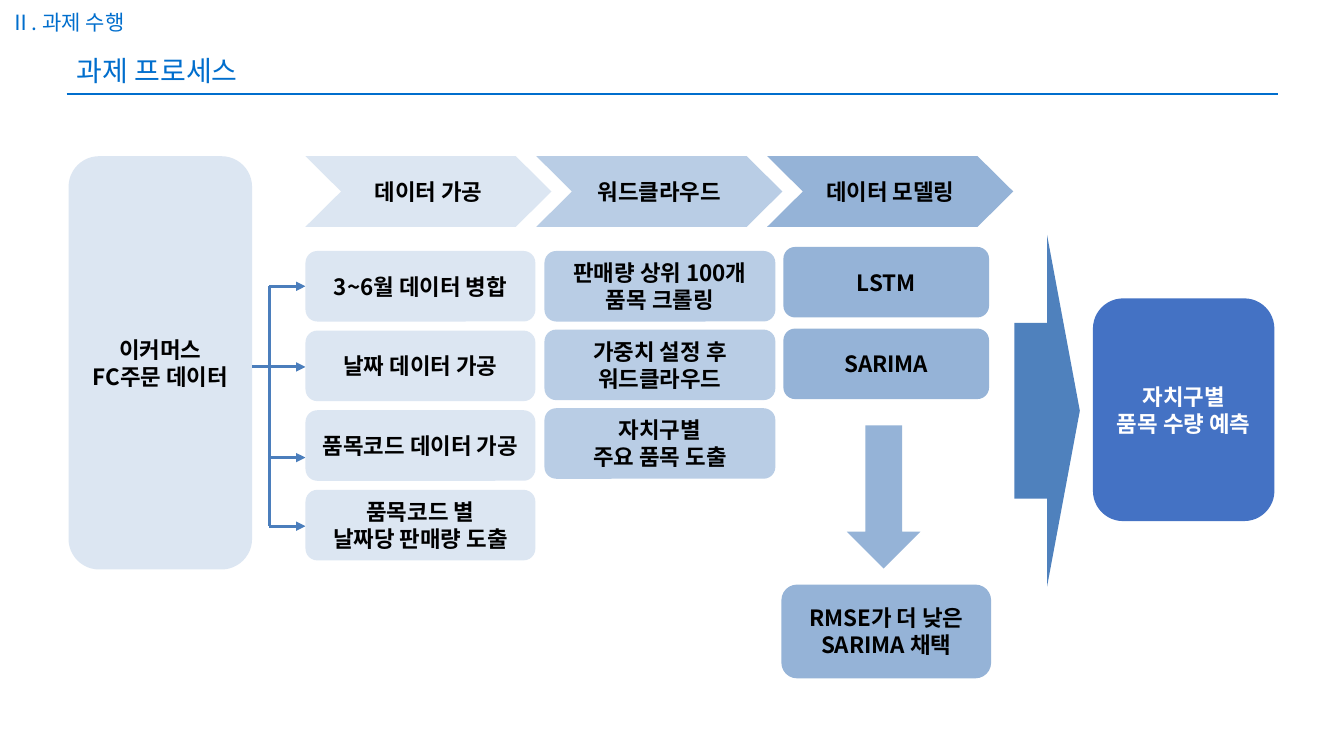
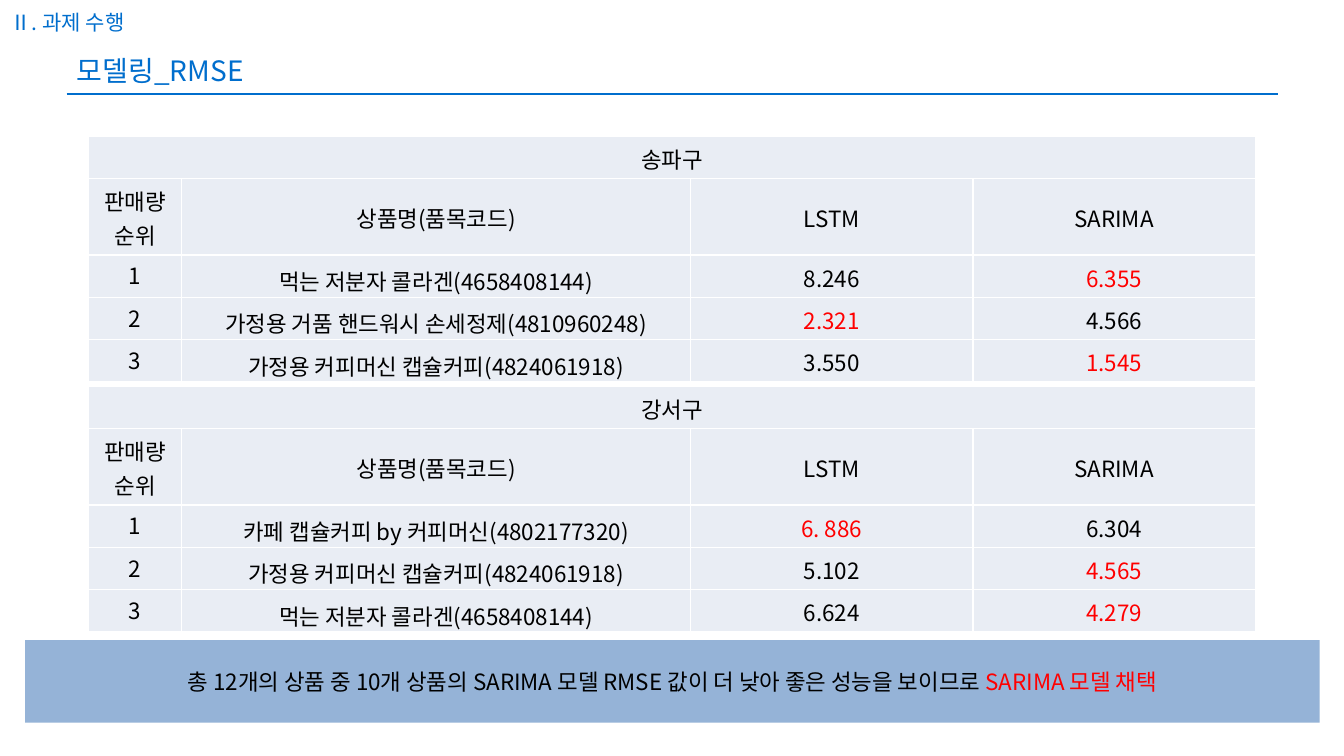
from dataclasses import dataclass

from lxml.etree import SubElement
from pptx import Presentation
from pptx.dml.color import RGBColor as Color
from pptx.enum.shapes import MSO_CONNECTOR as Link, MSO_SHAPE as Shape
from pptx.enum.text import MSO_ANCHOR as Anchor, PP_ALIGN as Align
from pptx.oxml.ns import qn
from pptx.util import Inches, Pt


@dataclass(frozen=True)
class Theme:
    font: str = "Noto Sans CJK KR"
    head: str = "006ECD"
    ink: str = "000000"
    white: str = "FFFFFF"
    red: str = "FF0000"
    pale: str = "DCE6F2"
    soft: str = "B9CDE5"
    mid: str = "95B3D7"
    steel: str = "4F81BD"
    wire: str = "4B7EBC"
    deep: str = "4472C4"
    cell: str = "E9EDF4"
    title: int = 20
    label: int = 15
    body: int = 16


T = Theme()
SECTION = "Ⅱ. 과제 수행"
STAGES = [("데이터 가공", T.pale), ("워드클라우드", T.soft), ("데이터 모델링", T.mid)]
# Top, pitch, width, fill and texts of each column of cards
STEPS = [
    (0.94, 0.79, 2.28, T.pale, ["3~6월 데이터 병합", "날짜 데이터 가공",
                                "품목코드 데이터 가공", "품목코드 별\n날짜당 판매량 도출"]),
    (0.94, 0.78, 2.29, T.soft, ["판매량 상위 100개\n품목 크롤링", "가중치 설정 후\n워드클라우드",
                                "자치구별\n주요 품목 도출"]),
    (0.9, 0.81, 2.04, T.mid, ["LSTM", "SARIMA"]),
]
HEADS = ["판매량 순위", "상품명(품목코드)", "LSTM", "SARIMA"]
WIDTHS = [0.92, 5.05, 2.8, 2.8]
HEIGHTS = [0.42, 0.76, 0.42, 0.42, 0.42]
SONGPA = [
    ("먹는 저분자 콜라겐(4658408144)", "8.246", "6.355"),
    ("가정용 거품 핸드워시 손세정제(4810960248)", "2.321", "4.566"),
    ("가정용 커피머신 캡슐커피(4824061918)", "3.550", "1.545"),
]
GANGSEO = [
    ("카페 캡슐커피 by 커피머신(4802177320)", "6. 886", "6.304"),
    ("가정용 커피머신 캡슐커피(4824061918)", "5.102", "4.565"),
    ("먹는 저분자 콜라겐(4658408144)", "6.624", "4.279"),
]


def rgb(code):
    return Color.from_string(code)


def style(para, size, color=T.ink, bold=False, align=Align.CENTER):
    para.alignment = align
    font = para.font
    font.size, font.bold, font.name = Pt(size), bold, T.font
    font.color.rgb = rgb(color)
    props = para._p.pPr.find(qn("a:defRPr"))
    SubElement(props, qn("a:ea")).set("typeface", T.font)


def block(slide, kind, x, y, w, h, fill, text="", color=T.ink, bold=True):
    shape = slide.shapes.add_shape(kind, Inches(x), Inches(y), Inches(w), Inches(h))
    shape.shadow.inherit = False
    shape.fill.solid()
    shape.fill.fore_color.rgb = rgb(fill)
    shape.line.fill.background()
    if text:
        frame = shape.text_frame
        frame.text = text
        frame.vertical_anchor = Anchor.MIDDLE
        for para in frame.paragraphs:
            style(para, T.body, color, bold)
    return shape


def wire(slide, x, y, right, end, color=T.wire, width=2.25, arrow=True):
    line = slide.shapes.add_connector(
        Link.STRAIGHT, Inches(x), Inches(y), Inches(right), Inches(end))
    line.line.color.rgb = rgb(color)
    line.line.width = Pt(width)
    if arrow:
        SubElement(line.line._get_or_add_ln(), qn("a:tailEnd")).set("type", "triangle")
    SubElement(line._element.spPr, qn("a:effectLst"))
    return line


def frame_up(deck):
    """Give the layout its title box and the rule below it."""
    layout = deck.slide_layouts[5]
    title = layout.placeholders[0]
    title.left, title.top = Inches(0.66), Inches(0.47)
    title.width, title.height = Inches(12.02), Inches(0.46)
    return layout


def rule(slide):
    """Draw the title rule and hand it to the layout."""
    line = wire(slide, 0.66, 0.93, 12.68, 0.93, T.head, 1.5, arrow=False)
    slide.slide_layout.shapes._spTree.append(line._element)


def page(deck, layout, text):
    slide = deck.slides.add_slide(layout)
    slide.shapes.title.text = text
    style(slide.shapes.title.text_frame.paragraphs[0], T.title, T.head, align=Align.LEFT)
    label = slide.shapes.add_textbox(Inches(0.01), Inches(0.05), Inches(1.63), Inches(0.46))
    label.text_frame.word_wrap = True
    label.text_frame.text = SECTION
    style(label.text_frame.paragraphs[0], T.label, T.head, align=Align.LEFT)
    return slide


def source(slide, x, y):
    """Draw the source data box and its branches to the first column."""
    block(slide, Shape.ROUNDED_RECTANGLE, x, y, 1.82, 4.1, T.pale, "이커머스\nFC주문 데이터")
    trunk, tip = x + 1.99, x + 2.35
    wire(slide, trunk, y + 1.29, trunk, y + 3.67, arrow=False)
    for start, drop in [(trunk, 1.29), (x + 1.82, 2.09), (trunk, 2.99), (trunk, 3.67)]:
        wire(slide, start, y + drop, tip, y + drop)


def stages(slide, x, y):
    for i, (text, fill) in enumerate(STAGES):
        shape = block(slide, Shape.CHEVRON, x + 2.29 * i, y, 2.44, 0.7, fill, text)
        shape.adjustments[0] = 0.505


def steps(slide, x, y):
    for col, (top, pitch, width, fill, texts) in enumerate(STEPS):
        for row, text in enumerate(texts):
            block(slide, Shape.ROUNDED_RECTANGLE, x + 2.37 * col, y + top + pitch * row,
                  width, 0.7, fill, text)


def result(slide, x, y):
    """Draw the chosen model and the final forecast."""
    block(slide, Shape.DOWN_ARROW, x + 0.65, y + 2.67, 0.73, 1.42, T.mid)
    block(slide, Shape.ROUNDED_RECTANGLE, x, y + 4.25, 2.08, 0.93, T.mid,
          "RMSE가 더 낮은\nSARIMA 채택")
    block(slide, Shape.RIGHT_ARROW, x + 2.31, y + 0.78, 0.65, 3.49, T.steel)
    block(slide, Shape.ROUNDED_RECTANGLE, x + 3.09, y + 1.41, 1.8, 2.21, T.deep,
          "자치구별\n품목 수량 예측", T.white)


def process(slide, x, y):
    source(slide, x, y)
    stages(slide, x + 2.35, y)
    steps(slide, x + 2.35, y)
    result(slide, x + 7.07, y)


def fill_in(cell, text, color=T.ink, space=1.07, pad=0.04, anchor=Anchor.MIDDLE):
    cell.fill.solid()
    cell.fill.fore_color.rgb = rgb(T.cell)
    cell.margin_left = cell.margin_right = Inches(0.04)
    cell.margin_top = cell.margin_bottom = Inches(pad)
    cell.vertical_anchor = anchor
    cell.text = text
    para = cell.text_frame.paragraphs[0]
    para.line_spacing = space
    style(para, T.body, color)


def scores(slide, x, y, name, items):
    """Draw one district's table, with the lower error of each row in red."""
    grid = slide.shapes.add_table(
        len(HEIGHTS), len(WIDTHS), Inches(x), Inches(y),
        Inches(sum(WIDTHS)), Inches(sum(HEIGHTS))).table
    grid.first_row = grid.horz_banding = False
    for col, width in zip(grid.columns, WIDTHS):
        col.width = Inches(width)
    for row, height in zip(grid.rows, HEIGHTS):
        row.height = Inches(height)
    grid.cell(0, 0).merge(grid.cell(0, 3))
    fill_in(grid.cell(0, 0), name)
    for col, text in enumerate(HEADS):
        fill_in(grid.cell(1, col), text, anchor=Anchor.MIDDLE if col else Anchor.TOP)
    for rank, (item, *marks) in enumerate(items, 1):
        row = rank + 1
        fill_in(grid.cell(row, 0), str(rank), space=1.0, anchor=Anchor.TOP)
        fill_in(grid.cell(row, 1), item, space=1.3, pad=0)
        best = min(marks)
        for col, mark in enumerate(marks, 2):
            fill_in(grid.cell(row, col), mark, T.red if mark == best else T.ink)


def verdict(slide, x, y, w, h):
    band = block(slide, Shape.RECTANGLE, x, y, w, h, T.mid,
                 "총 12개의 상품 중 10개 상품의 SARIMA 모델 RMSE 값이 더 낮아 "
                 "좋은 성능을 보이므로 ", bold=False)
    run = band.text_frame.paragraphs[0].add_run()
    run.text = "SARIMA 모델 채택"
    run.font.color.rgb = rgb(T.red)


def main():
    deck = Presentation()
    deck.slide_width, deck.slide_height = Inches(13.33), Inches(7.5)
    layout = frame_up(deck)

    flow = page(deck, layout, "과제 프로세스")
    rule(flow)
    process(flow, 0.68, 1.55)

    model = page(deck, layout, "모델링_RMSE")
    scores(model, 0.88, 1.35, "송파구", SONGPA)
    scores(model, 0.88, 3.83, "강서구", GANGSEO)
    verdict(model, 0.25, 6.35, 12.84, 0.82)

    deck.save("out.pptx")


if __name__ == "__main__":
    main()
